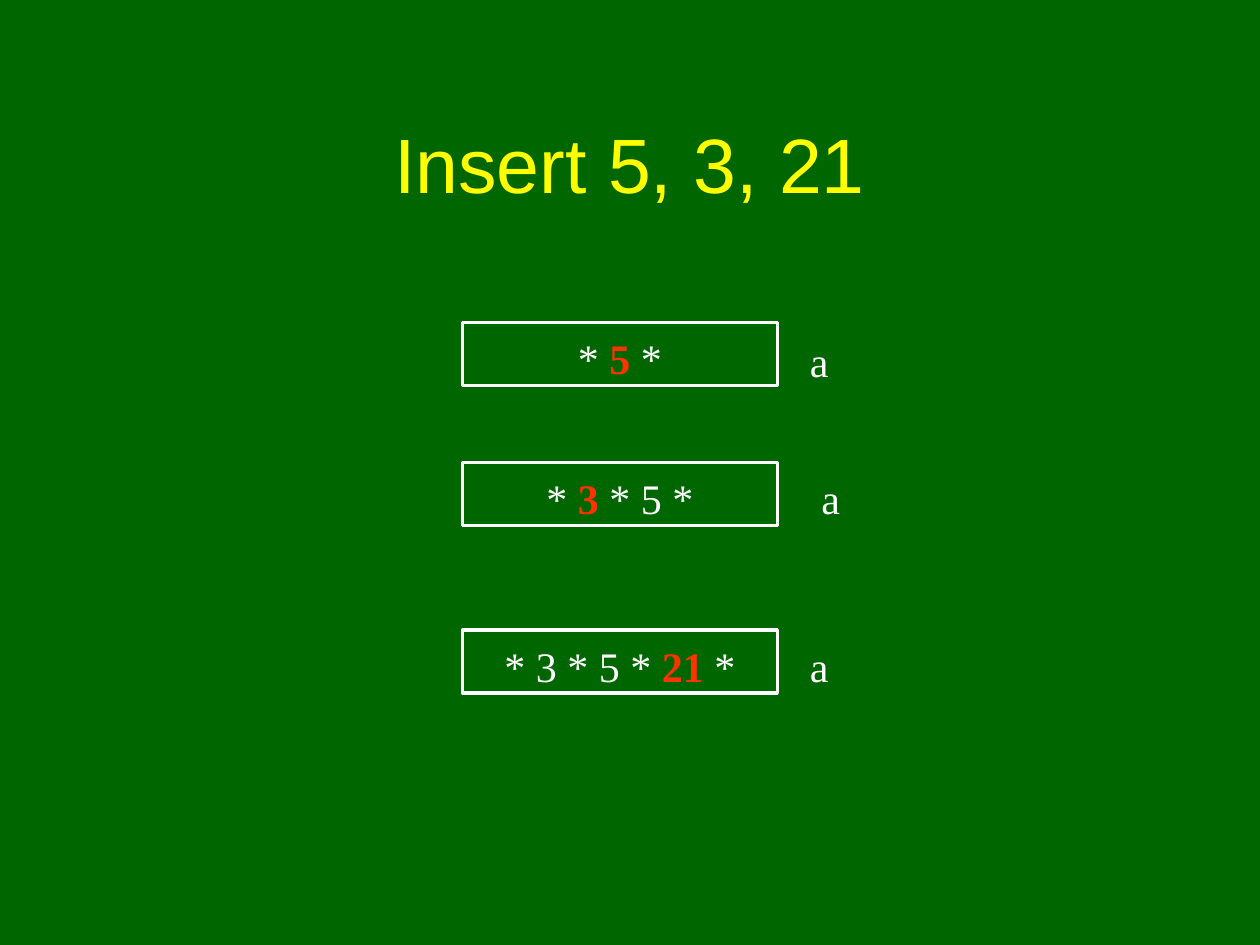
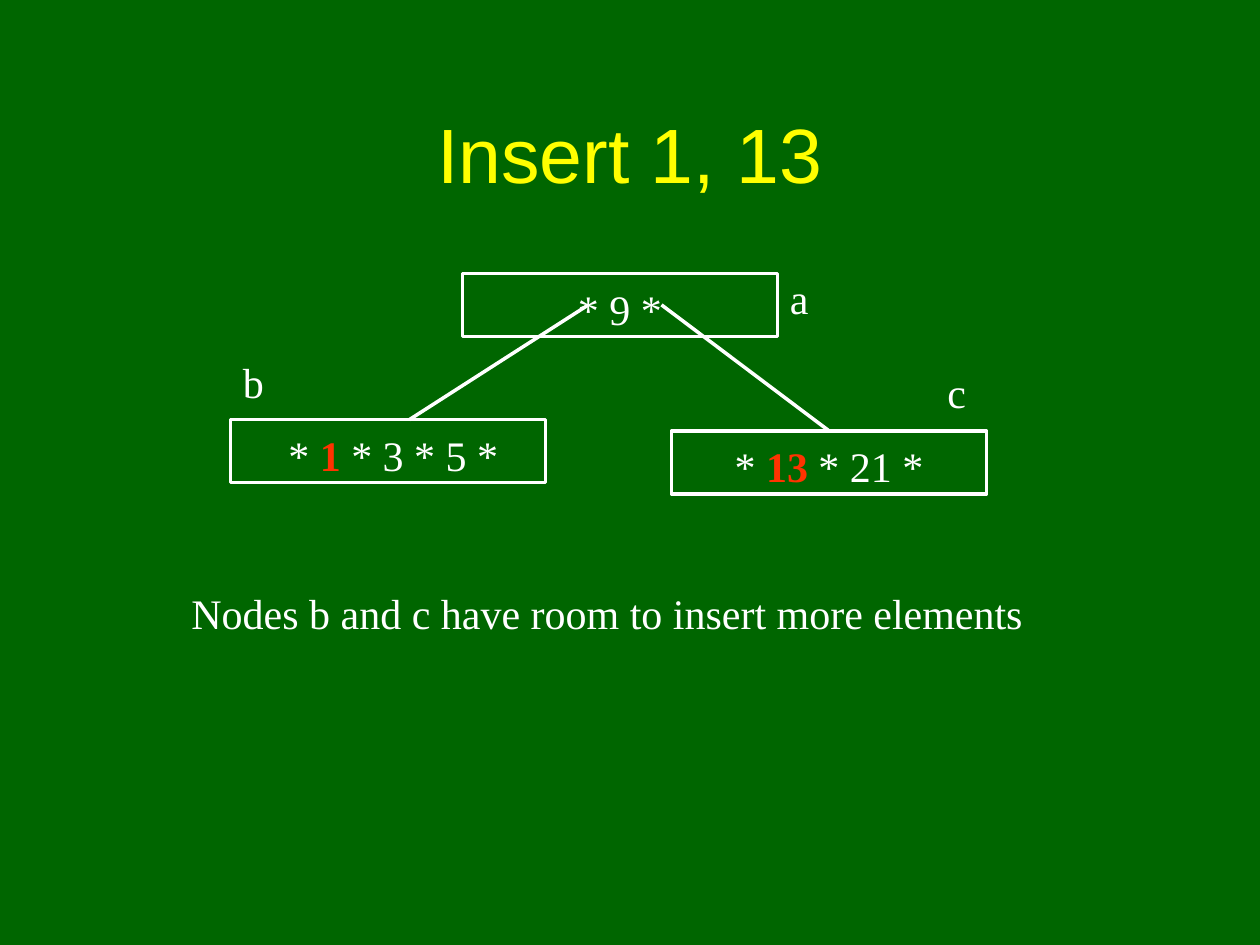
"""Build two slides that show insertions into a B-tree."""
import pptx
import pptx.dml.color
import pptx.enum.shapes
import pptx.enum.text
import pptx.oxml.ns
import pptx.util
from lxml import etree

Inches = pptx.util.Inches
Align = pptx.enum.text.PP_ALIGN
Anchor = pptx.enum.text.MSO_ANCHOR

COLORS = {"board": "006600", "title": "FFFF00", "chalk": "FFFFFF", "new": "FF3300"}
NODE_SIZE = (2.5, 0.5)
LABEL_SIZE = (0.5, 0.5)
LINE_WIDTH = 2
TITLE_FONT = {"name": "Arial", "size": pptx.util.Pt(44), "bold": False}
BODY_FONT = {"name": "Times New Roman", "size": pptx.util.Pt(24)}
TITLE_FRAME = {"word_wrap": True, "vertical_anchor": Anchor.MIDDLE}
BODY_FRAME = {
    "word_wrap": True,
    "vertical_anchor": Anchor.TOP,
    "margin_left": Inches(0.1),
    "margin_right": Inches(0.1),
    "margin_top": Inches(0.08),
    "margin_bottom": Inches(0.02),
}

SLIDES = [
    {
        "title": "Insert 5, 3, 21",
        "title_height": 1.25,
        "nodes": [
            (3.67, 2.56, [("* ", "chalk"), ("5", "new"), (" *", "chalk")]),
            (3.67, 3.67, [("* ", "chalk"), ("3", "new"), (" * 5 *", "chalk")]),
            (3.67, 5, [("* 3 * 5 * ", "chalk"), ("21", "new"), (" *", "chalk")]),
        ],
        "links": [],
        "labels": [(6.33, 2.58, "a"), (6.42, 3.67, "a"), (6.33, 5, "a")],
        "notes": [],
    },
    {
        "title": "Insert 1, 13",
        "title_height": 1.08,
        "nodes": [
            (3.67, 2.17, [("* 9 *", "chalk")]),
            (1.83, 3.33, [(" *", "chalk"), (" 1", "new"), (" * 3 * 5 *", "chalk")]),
            (5.33, 3.42, [("* ", "chalk"), ("13", "new"), (" * 21 *", "chalk")]),
        ],
        "links": [(4.67, 2.42, 3.25, 3.33, None), (5.25, 2.42, 6.58, 3.42, 2)],
        "labels": [(6.17, 2.08, "a"), (1.83, 2.75, "b"), (7.42, 2.83, "c")],
        "notes": [(1.42, 4.58, "Nodes b and c have room to insert more elements")],
    },
]
NOTE_SIZE = (6.92, 0.5)


def color(name):
    return pptx.dml.color.RGBColor.from_string(COLORS[name])


def apply(target, values):
    for name, value in values.items():
        setattr(target, name, value)


def write(shape, spans, align, font=BODY_FONT, frame=BODY_FRAME):
    apply(shape.text_frame, frame)
    para = shape.text_frame.paragraphs[0]
    para.alignment = align
    for text, tone in spans:
        span = para.add_run()
        span.text = text
        apply(span.font, {"bold": tone == "new", **font})
        span.font.color.rgb = color(tone)


def draw_line(line):
    line.color.rgb = color("chalk")
    line.width = pptx.util.Pt(LINE_WIDTH)


def add_title(page, text, height):
    title = page.shapes.title
    places = (0.75, 0.67, 8.5, height)
    apply(title, dict(zip(("left", "top", "width", "height"), map(Inches, places))))
    write(title, [(text, "title")], Align.CENTER, TITLE_FONT, TITLE_FRAME)


def add_node(page, left, top, spans):
    box = page.shapes.add_shape(
        pptx.enum.shapes.MSO_SHAPE.RECTANGLE, *map(Inches, (left, top, *NODE_SIZE)))
    box.shadow.inherit = False
    box.fill.background()
    draw_line(box.line)
    write(box, spans, Align.CENTER)
    return box


def add_text(page, left, top, text, size):
    box = page.shapes.add_textbox(*map(Inches, (left, top, *size)))
    write(box, [(text, "chalk")], Align.LEFT)


def add_link(page, ends, child):
    link = page.shapes.add_connector(
        pptx.enum.shapes.MSO_CONNECTOR.STRAIGHT, *map(Inches, ends))
    draw_line(link.line)
    etree.SubElement(link._element.spPr, pptx.oxml.ns.qn("a:effectLst"))
    if child is not None:
        link.end_connect(child, 0)


def add_page(deck, content):
    page = deck.slides.add_slide(deck.slide_layouts.get_by_name("Title Only"))
    add_title(page, content["title"], content["title_height"])
    nodes = [add_node(page, *node) for node in content["nodes"]]
    for *ends, child in content["links"]:
        add_link(page, ends, None if child is None else nodes[child])
    for kind, size in (("labels", LABEL_SIZE), ("notes", NOTE_SIZE)):
        for left, top, text in content[kind]:
            add_text(page, left, top, text, size)


def main():
    deck = pptx.Presentation()
    deck.slide_width, deck.slide_height = Inches(10), Inches(7.5)
    fill = deck.slide_master.background.fill
    fill.solid()
    fill.fore_color.rgb = color("board")
    for content in SLIDES:
        add_page(deck, content)
    deck.save("out.pptx")


if __name__ == "__main__":
    main()
